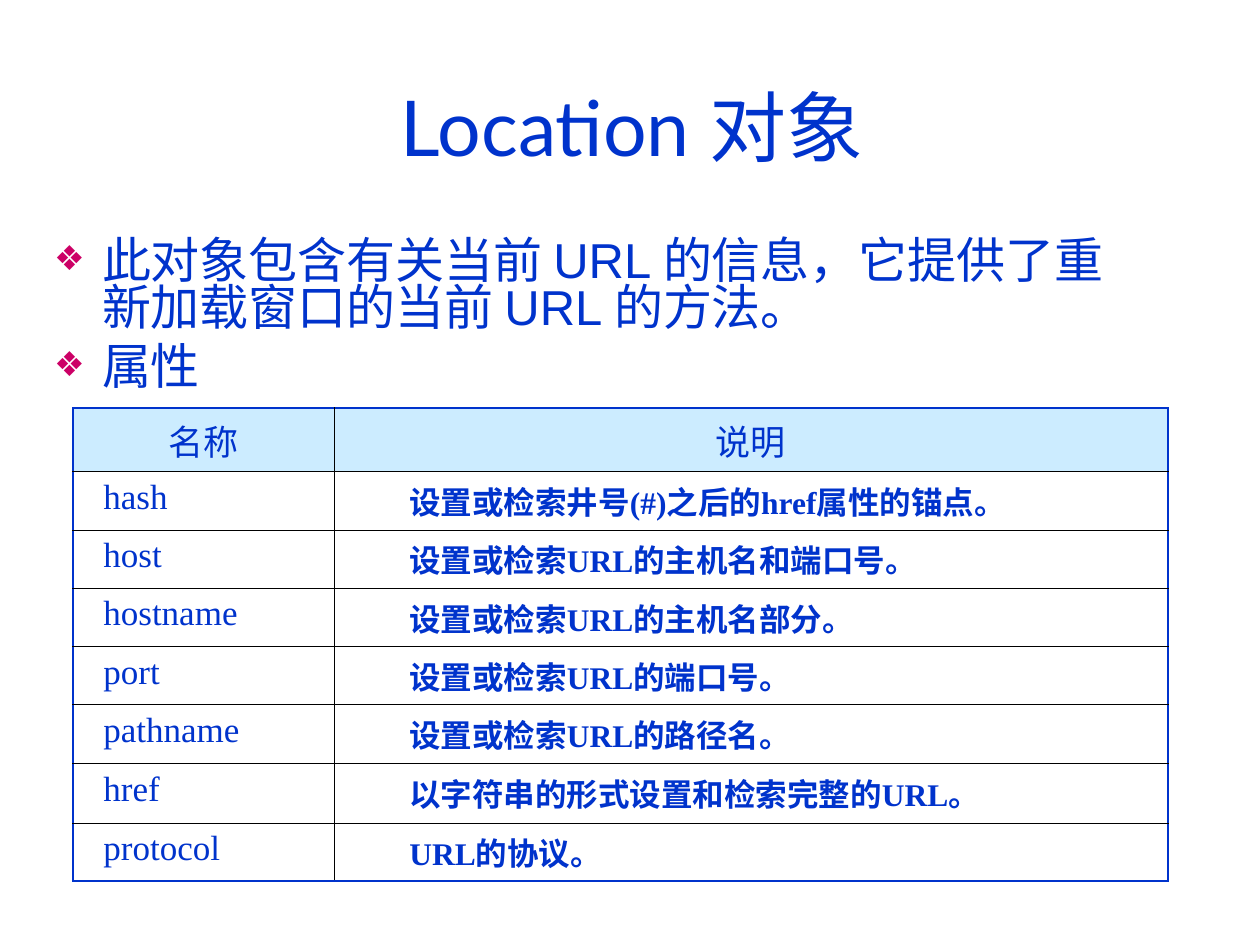
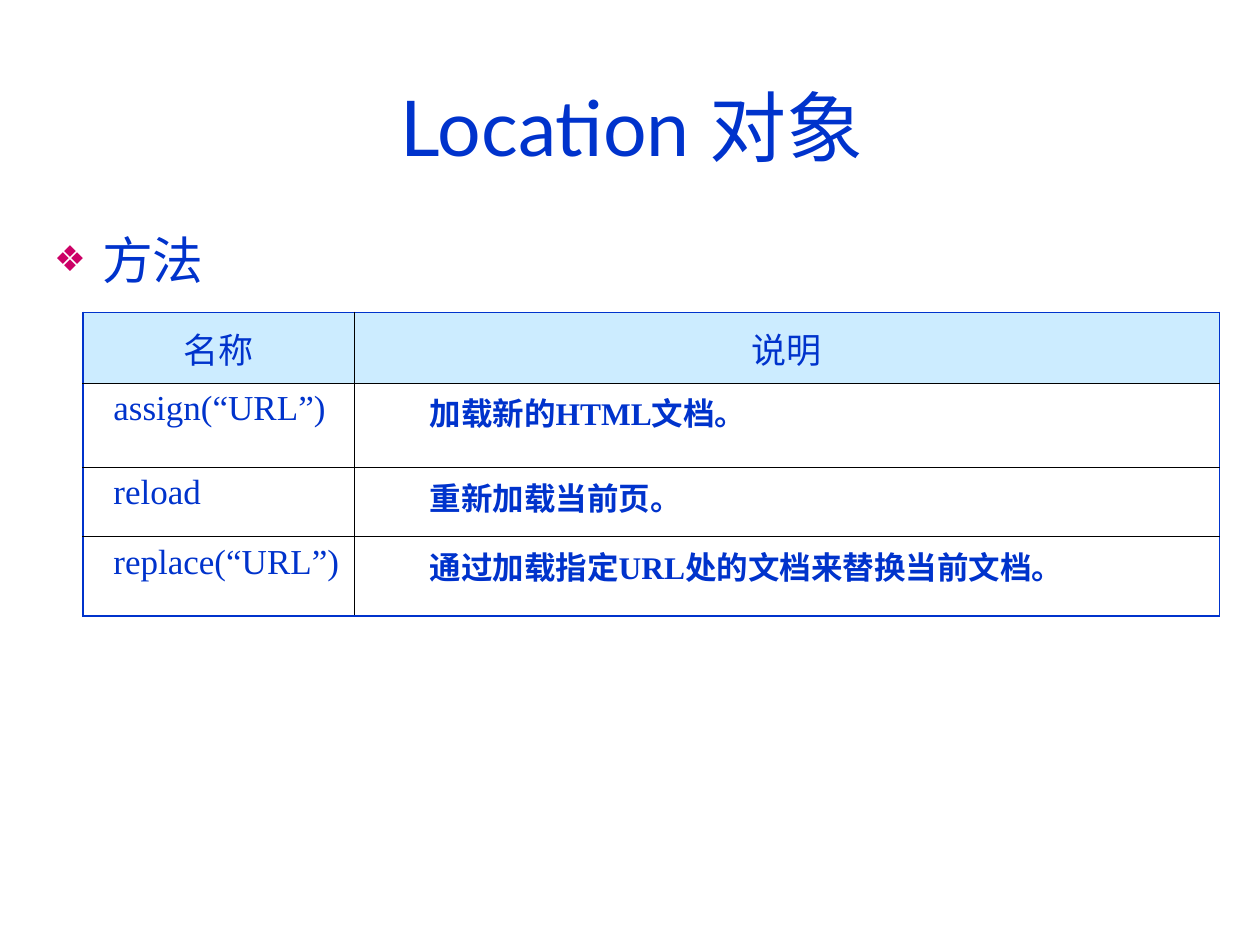
from lxml.etree import SubElement
from pptx import Presentation
from pptx.dml.color import RGBColor
from pptx.enum.text import MSO_ANCHOR, MSO_AUTO_SIZE, PP_ALIGN
from pptx.oxml.ns import qn
from pptx.util import Inches, Pt

BLUE = RGBColor(0x00, 0x33, 0xCC)
MAGENTA = RGBColor(0xCC, 0x00, 0x66)
PALE_BLUE = RGBColor(0xCC, 0xEC, 0xFF)
BLACK = RGBColor(0x00, 0x00, 0x00)

TITLE = "Location 对象"
TITLE_BOX = (0.35, 0.37, 9.34, 1.25)
HEADINGS = ("名称", "说明")
OUTER_BORDER = (BLUE, 1.08)
INNER_BORDER = (BLACK, 0.45)

SLIDES = [
    {
        "points": ["此对象包含有关当前 URL 的信息，它提供了重新加载窗口的当前 URL 的方法。", "属性"],
        "points_box": (0.33, 1.86, 8.77, 1.38),
        "points_size": 28,
        "members": [
            ("hash", "设置或检索井号(#)之后的href属性的锚点。"),
            ("host", "设置或检索URL的主机名和端口号。"),
            ("hostname", "设置或检索URL的主机名部分。"),
            ("port", "设置或检索URL的端口号。"),
            ("pathname", "设置或检索URL的路径名。"),
            ("href", "以字符串的形式设置和检索完整的URL。"),
            ("protocol", "URL的协议。"),
        ],
        "table_corner": (0.58, 3.24),
        "columns": (2.07, 6.62),
        "rows": (0.33, 0.38, 0.34, 0.39, 0.39, 0.47, 0.47, 0.41),
    },
    {
        "points": ["方法"],
        "points_box": (0.33, 1.86, 2.03, 0.55),
        "points_size": 29,
        "members": [
            ("assign(“URL”)", "加载新的HTML文档。"),
            ("reload", "重新加载当前页。"),
            ("replace(“URL”)", "通过加载指定URL处的文档来替换当前文档。"),
        ],
        "table_corner": (0.66, 2.48),
        "columns": (2.15, 6.87),
        "rows": (0.56, 0.67, 0.55, 0.63),
    },
]


def place(placeholder, box):
    placeholder.left, placeholder.top, placeholder.width, placeholder.height = map(Inches, box)
    placeholder.text_frame.auto_size = MSO_AUTO_SIZE.NONE


def set_font(paragraph, name, size, bold=False):
    font = paragraph.font
    font.name, font.size, font.bold = name, Pt(size), bold
    font.color.rgb = BLUE


def indent(paragraph, left, first=0):
    properties = paragraph._p.get_or_add_pPr()
    properties.set("marL", str(Inches(left)))
    properties.set("indent", str(Inches(first)))
    return properties


def add_bullet(paragraph):
    properties = indent(paragraph, 0.38, -0.38)
    color = SubElement(properties, qn("a:buClr"))
    SubElement(color, qn("a:srgbClr"), val=str(MAGENTA))
    SubElement(properties, qn("a:buSzPct"), val="70000")
    SubElement(properties, qn("a:buChar"), char="❖")


def add_title(slide):
    title = slide.shapes.title
    place(title, TITLE_BOX)
    title.text_frame.vertical_anchor = MSO_ANCHOR.MIDDLE
    title.text_frame.text = TITLE
    heading = title.text_frame.paragraphs[0]
    heading.alignment = PP_ALIGN.CENTER
    set_font(heading, "Lato", 44)


def add_points(slide, points, box, size):
    body = slide.placeholders[1]
    place(body, box)
    body.text_frame.text = "\n".join(points)
    for index, point in enumerate(body.text_frame.paragraphs):
        add_bullet(point)
        point.line_spacing = 0.8
        point.space_before = Pt(7 if index else 0)
        set_font(point, "Arial", size)


def set_borders(cell, outer_sides):
    properties = cell._tc.get_or_add_tcPr()
    for side, is_outer in outer_sides.items():
        color, width = OUTER_BORDER if is_outer else INNER_BORDER
        line = SubElement(properties, qn(f"a:ln{side}"), w=str(Pt(width)))
        fill = SubElement(line, qn("a:solidFill"))
        SubElement(fill, qn("a:srgbClr"), val=str(color))


def format_cell(cell, is_heading, is_name):
    paragraph = cell.text_frame.paragraphs[0]
    if is_heading:
        cell.fill.solid()
        cell.fill.fore_color.rgb = PALE_BLUE
        cell.vertical_anchor = MSO_ANCHOR.MIDDLE
        paragraph.alignment = PP_ALIGN.CENTER
    else:
        cell.fill.background()
        paragraph.level = 0 if is_name else 1
        indent(paragraph, 0.14 if is_name else 0.5)
    is_description = not (is_heading or is_name)
    set_font(paragraph, "Times New Roman", 18 if is_description else 20, is_description)


def add_members(slide, members, corner, columns, rows):
    box = (*corner, sum(columns), sum(rows))
    table = slide.shapes.add_table(len(rows), len(columns), *map(Inches, box)).table
    table.first_row = table.horz_banding = False
    for column, width in zip(table.columns, columns):
        column.width = Inches(width)
    for row, height in zip(table.rows, rows):
        row.height = Inches(height)
    for r, texts in enumerate([HEADINGS, *members]):
        for c, text in enumerate(texts):
            cell = table.cell(r, c)
            cell.text = text
            set_borders(cell, {"L": c == 0, "R": c == len(columns) - 1,
                               "T": r == 0, "B": r == len(rows) - 1})
            format_cell(cell, r == 0, c == 0)


def main():
    """Build the two slides on the Location object."""
    deck = Presentation()
    deck.slide_width, deck.slide_height = Inches(10), Inches(7.5)
    for content in SLIDES:
        slide = deck.slides.add_slide(deck.slide_layouts[1])
        add_title(slide)
        add_points(slide, content["points"], content["points_box"], content["points_size"])
        add_members(slide, content["members"], content["table_corner"],
                    content["columns"], content["rows"])
    deck.save("out.pptx")


if __name__ == "__main__":
    main()
